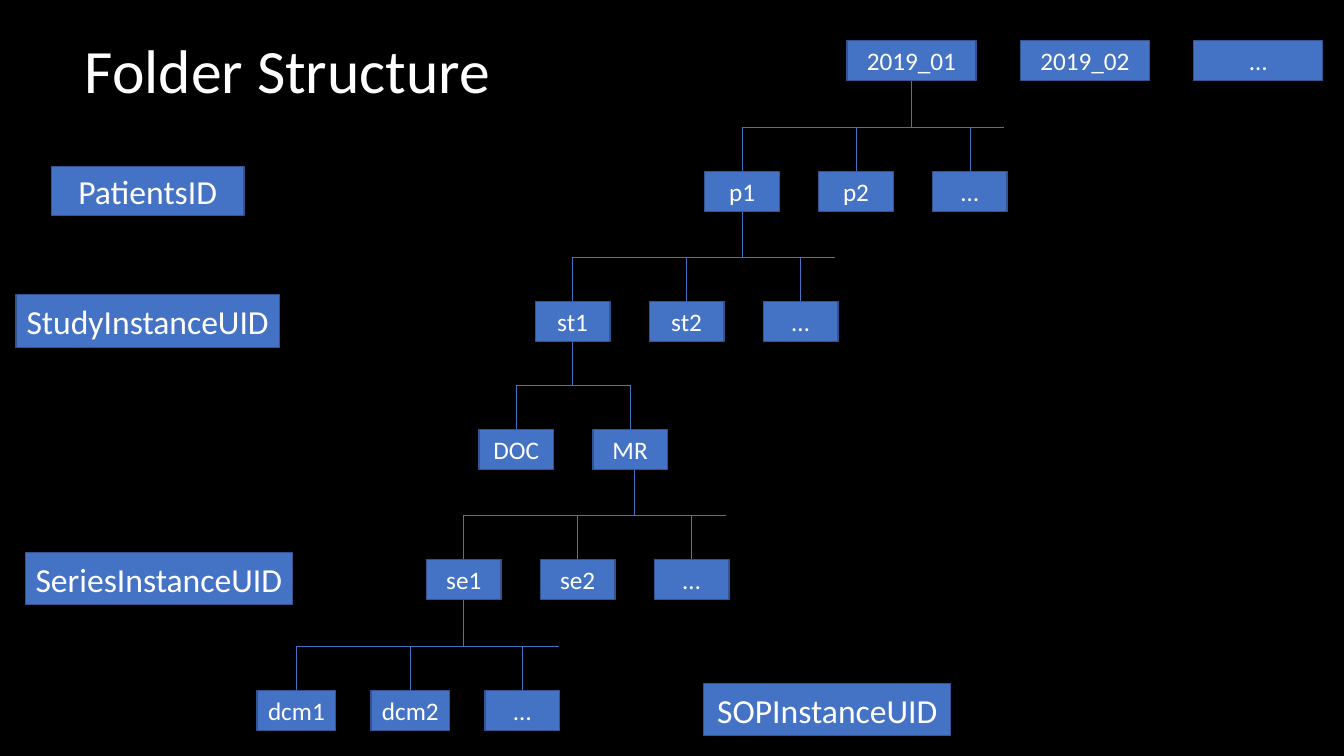
from dataclasses import dataclass

from lxml import etree
from pptx import Presentation
from pptx.dml.color import RGBColor
from pptx.enum.shapes import MSO_CONNECTOR, MSO_SHAPE
from pptx.enum.text import MSO_ANCHOR, MSO_AUTO_SIZE, PP_ALIGN
from pptx.oxml.ns import qn
from pptx.shapes.autoshape import Shape
from pptx.shapes.connector import Connector
from pptx.slide import Slide
from pptx.text.text import _Paragraph
from pptx.util import Pt

PX = 9144  # EMU; 100 px to the inch
FONT = "Calibri"
BLACK = RGBColor(0x00, 0x00, 0x00)
WHITE = RGBColor(0xFF, 0xFF, 0xFF)
BLUE = RGBColor(0x44, 0x72, 0xC4)
DARK_BLUE = RGBColor(0x32, 0x54, 0x91)

RECTANGLE = MSO_SHAPE.RECTANGLE
STRAIGHT = MSO_CONNECTOR.STRAIGHT
MIDDLE = MSO_ANCHOR.MIDDLE
LEFT = PP_ALIGN.LEFT
CENTER = PP_ALIGN.CENTER
NO_AUTOFIT = MSO_AUTO_SIZE.NONE
TOP_SITE, BOTTOM_SITE = 0, 2

TITLE_ONLY = 5
FOLDER_HEIGHT = 40
FOLDER_WIDTH = 74
FOLDER_STEP = 113
MONTH_WIDTH = 128
MONTH_STEP = 172
DROP = 44
BAR_LENGTH = 260


@dataclass(frozen=True)
class Box:
    text: str
    left: int
    top: int
    width: int
    height: int = FOLDER_HEIGHT
    size: int = 18

    @property
    def center(self) -> int:
        return self.left + self.width // 2

    @property
    def bottom(self) -> int:
        return self.top + self.height


@dataclass(frozen=True)
class Level:
    """Child folders hanging from a bar below their parent folder."""
    parent: str
    names: tuple[str, ...]
    left: int
    top: int
    bar_length: int = BAR_LENGTH
    named_width: int = FOLDER_WIDTH
    stem_shift: int = 0

    def boxes(self) -> list[Box]:
        return [
            Box(name, self.left + index * FOLDER_STEP, self.top,
                FOLDER_WIDTH if name == "…" else self.named_width)
            for index, name in enumerate(self.names)
        ]


UID_LABELS = (
    Box("PatientsID", 51, 165, 191, 49, 24),
    Box("StudyInstanceUID", 16, 292, 261, 53, 24),
    Box("SeriesInstanceUID", 25, 548, 265, 52, 24),
    Box("SOPInstanceUID", 698, 678, 245, 52, 24),
)
MONTHS = tuple(
    Box(name, 840 + index * MONTH_STEP, 40, MONTH_WIDTH)
    for index, name in enumerate(("2019_01", "2019_02", "…"))
)
LEVELS = (
    Level("2019_01", ("p1", "p2", "…"), 699, 170),
    Level("p1", ("st1", "st2", "…"), 531, 299),
    Level("st1", ("DOC", "MR"), 475, 426, bar_length=FOLDER_STEP),
    Level("MR", ("se1", "se2", "…"), 423, 555, stem_shift=4),
    Level("se1", ("dcm1", "dcm2", "…"), 255, 685, named_width=78),
)


def px(length: int) -> int:
    return length * PX


def add_text(paragraph: _Paragraph, text: str, size: int) -> None:
    run = paragraph.add_run()
    run.text = text
    run.font.name = FONT
    run.font.size = Pt(size)
    run.font.color.rgb = WHITE


def add_title(slide: Slide, text: str) -> None:
    title = slide.shapes.title
    title.left, title.top = px(74), px(0)
    title.width, title.height = px(1150), px(145)
    frame = title.text_frame
    frame.auto_size = NO_AUTOFIT
    frame.vertical_anchor = MIDDLE
    paragraph = frame.paragraphs[0]
    paragraph.alignment = LEFT
    paragraph.line_spacing = 0.9
    add_text(paragraph, text, 44)


def add_box(slide: Slide, box: Box) -> Shape:
    shape = slide.shapes.add_shape(
        RECTANGLE, px(box.left), px(box.top), px(box.width), px(box.height))
    shape.shadow.inherit = False
    shape.fill.solid()
    shape.fill.fore_color.rgb = BLUE
    shape.line.color.rgb = DARK_BLUE
    shape.line.width = Pt(1)
    frame = shape.text_frame
    frame.word_wrap = False
    frame.vertical_anchor = MIDDLE
    paragraph = frame.paragraphs[0]
    paragraph.alignment = CENTER
    add_text(paragraph, box.text, box.size)
    return shape


def add_line(slide: Slide, x1: int, y1: int, x2: int, y2: int) -> Connector:
    line = slide.shapes.add_connector(STRAIGHT, px(x1), px(y1), px(x2), px(y2))
    line.line.color.rgb = BLUE
    line.line.width = Pt(0.5)
    etree.SubElement(line._element.spPr, qn("a:effectLst"))
    return line


def add_level(slide: Slide, level: Level,
              folders: dict[str, tuple[Box, Shape]]) -> None:
    boxes = level.boxes()
    bar_y = level.top - DROP
    bar_left = boxes[0].center
    add_line(slide, bar_left, bar_y, bar_left + level.bar_length, bar_y)

    parent_box, parent_shape = folders[level.parent]
    stem_x = parent_box.center + level.stem_shift
    stem = add_line(slide, stem_x, parent_box.bottom, stem_x, bar_y)
    if level.stem_shift == 0:
        stem.begin_connect(parent_shape, BOTTOM_SITE)

    for box in boxes:
        shape = add_box(slide, box)
        folders[box.text] = (box, shape)
        drop = add_line(slide, box.center, bar_y, box.center, box.top)
        drop.end_connect(shape, TOP_SITE)


def main() -> None:
    presentation = Presentation()
    presentation.slide_width = px(1333)
    presentation.slide_height = px(750)
    slide = presentation.slides.add_slide(presentation.slide_layouts[TITLE_ONLY])
    slide.background.fill.solid()
    slide.background.fill.fore_color.rgb = BLACK

    add_title(slide, "Folder Structure")
    for label in UID_LABELS:
        add_box(slide, label)
    folders = {month.text: (month, add_box(slide, month)) for month in MONTHS}
    for level in LEVELS:
        add_level(slide, level, folders)
    presentation.save("out.pptx")


if __name__ == "__main__":
    main()
